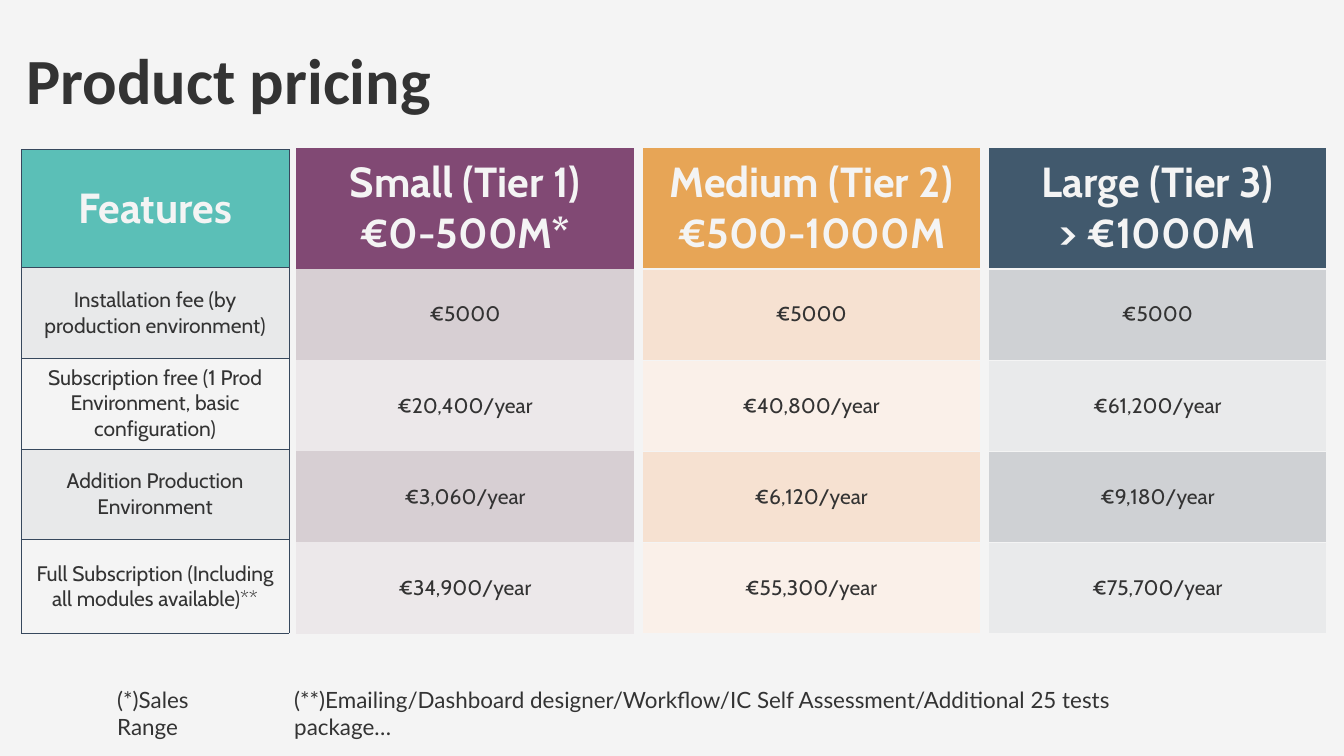
from lxml.etree import SubElement
from pptx import Presentation
from pptx.dml.color import RGBColor
from pptx.enum.text import MSO_ANCHOR as Anchor, PP_ALIGN as Align
from pptx.oxml.ns import qn
from pptx.util import Cm, Pt

COLORS = {
    "paper": "F4F4F4", "ink": "333333", "navy": "37485D", "teal": "5BBFB7",
    "gray": "E8E9EA", "plum": "814974", "plum_mid": "D7CFD3", "plum_pale": "ECE8EA",
    "amber": "E7A556", "amber_mid": "F6E1D1", "amber_pale": "FAF0E9",
    "slate": "41596D", "slate_mid": "CFD1D4", "slate_pale": "E9EAEB",
}
FORMATS = {
    "title": {"name": "Calibri", "size": Pt(92), "bold": True},
    "note": {"name": "Lato", "size": Pt(32), "bold": False},
    "header": {"name": "Cabin", "size": Pt(60), "bold": True},
    "body": {"name": "Cabin", "size": Pt(30), "bold": False},
}
FEATURES = [
    "Features",
    "Installation fee (by production environment)",
    "Subscription free (1 Prod Environment, basic configuration)",
    "Addition Production Environment",
    "Full Subscription (Including all modules available)**",
]
TIERS = [
    (["Small (Tier 1)\n€0-500M*", "€5000", "€20,400/year", "€3,060/year", "€34,900/year"],
     ["plum", "plum_mid", "plum_pale"], None),
    (["Medium (Tier 2)\n€500-1000M", "€5000", "€40,800/year", "€6,120/year", "€55,300/year"],
     ["amber", "amber_mid", "amber_pale"], "paper"),
    (["Large (Tier 3)\n> €1000M", "€5000", "€61,200/year", "€9,180/year", "€75,700/year"],
     ["slate", "slate_mid", "slate_pale"], "paper"),
]
FEATURE_ROWS = [5.94, 4.57, 4.57, 4.57, 4.72]
TIER_ROWS = [6.1, 4.6, 4.6, 4.6, 4.6]
TIER_LEFT, TIER_TOP, TIER_WIDTH, TIER_PITCH = 14.91, 7.44, 17.04, 17.45


def rgb(color):
    """Return the named colour."""
    return RGBColor.from_string(COLORS[color])


def write(frame, text, style, color, align):
    """Fill a text frame with one paragraph for each line of text."""
    for index, line in enumerate(text.split("\n")):
        para = frame.add_paragraph() if index else frame.paragraphs[0]
        para.alignment = align
        span = para.add_run()
        span.text = line
        span.font.color.rgb = rgb(color)
        for name, value in FORMATS[style].items():
            setattr(span.font, name, value)


def set_borders(cell, color, widths):
    """Draw the left, right, top and bottom borders of a cell."""
    for side, width in zip("LRTB", widths):
        line = SubElement(cell._tc.get_or_add_tcPr(), qn(f"a:ln{side}"), w=str(Pt(width)))
        if color:
            fill = SubElement(line, qn("a:solidFill"))
            SubElement(fill, qn("a:srgbClr"), val=COLORS[color])
        else:
            SubElement(line, qn("a:noFill"))


def add_text(page, box, text, style):
    """Place a line of text in the given box."""
    frame = page.shapes.add_textbox(*map(Cm, box)).text_frame
    frame.word_wrap = True
    write(frame, text, style, "ink", Align.LEFT)


def add_column(page, left, top, width, heights, texts, fills, border, rule=1):
    """Place a one-column table with a header and alternating row fills."""
    box = map(Cm, (left, top, width, sum(heights)))
    table = page.shapes.add_table(len(texts), 1, *box).table
    header, odd, even = fills
    for index, (text, height) in enumerate(zip(texts, heights)):
        table.rows[index].height = Cm(height)
        cell = table.cell(index, 0)
        cell.vertical_anchor = Anchor.MIDDLE
        set_borders(cell, border, (1, 1, rule if index == 1 else 1, 1 if index else rule))
        cell.fill.solid()
        cell.fill.fore_color.rgb = rgb((odd if index % 2 else even) if index else header)
        style, color = ("body", "ink") if index else ("header", "paper")
        write(cell.text_frame, text, style, color, Align.CENTER)


def add_tiers(page, left, top):
    """Place the price columns side by side at an equal pitch."""
    for index, (texts, fills, border) in enumerate(TIERS):
        add_column(page, left + index * TIER_PITCH, top, TIER_WIDTH, TIER_ROWS,
                   texts, fills, border, rule=3)


def main():
    """Build the pricing slide."""
    deck = Presentation()
    deck.slide_width, deck.slide_height = Cm(67.74), Cm(38.1)
    page = deck.slides.add_slide(deck.slide_layouts[6])
    page.background.fill.solid()
    page.background.fill.fore_color.rgb = rgb("paper")
    add_tiers(page, TIER_LEFT, TIER_TOP)
    add_text(page, (1.07, 1.9, 22.58, 4.19), "Product pricing", "title")
    add_text(page, (5.66, 34.44, 7.24, 1.63), "(*)Sales Range", "note")
    add_column(page, 1.07, 7.54, 13.49, FEATURE_ROWS, FEATURES,
               ["teal", "gray", "paper"], "navy")
    add_text(page, (14.58, 34.44, 43.97, 1.63),
             "(**)Emailing/Dashboard designer/Workflow/IC Self Assessment/"
             "Additional 25 tests package…", "note")
    deck.save("out.pptx")


if __name__ == "__main__":
    main()
